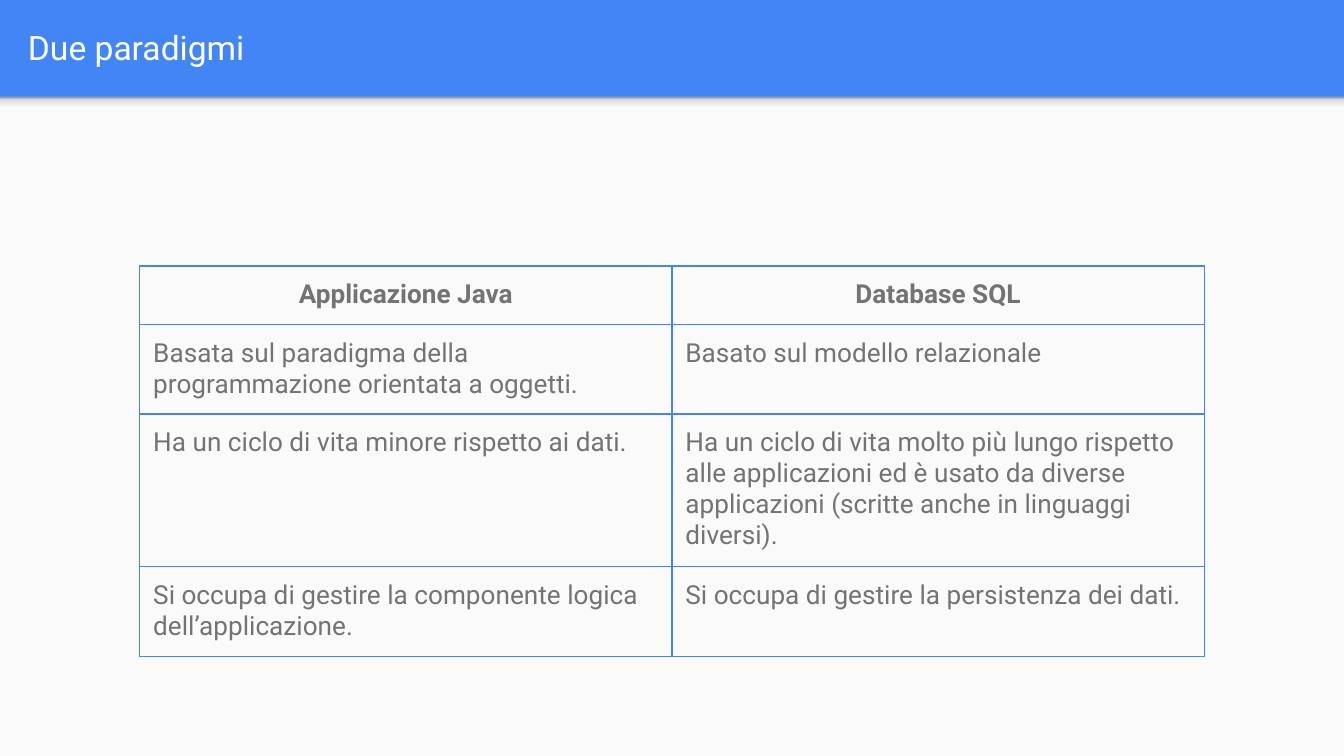
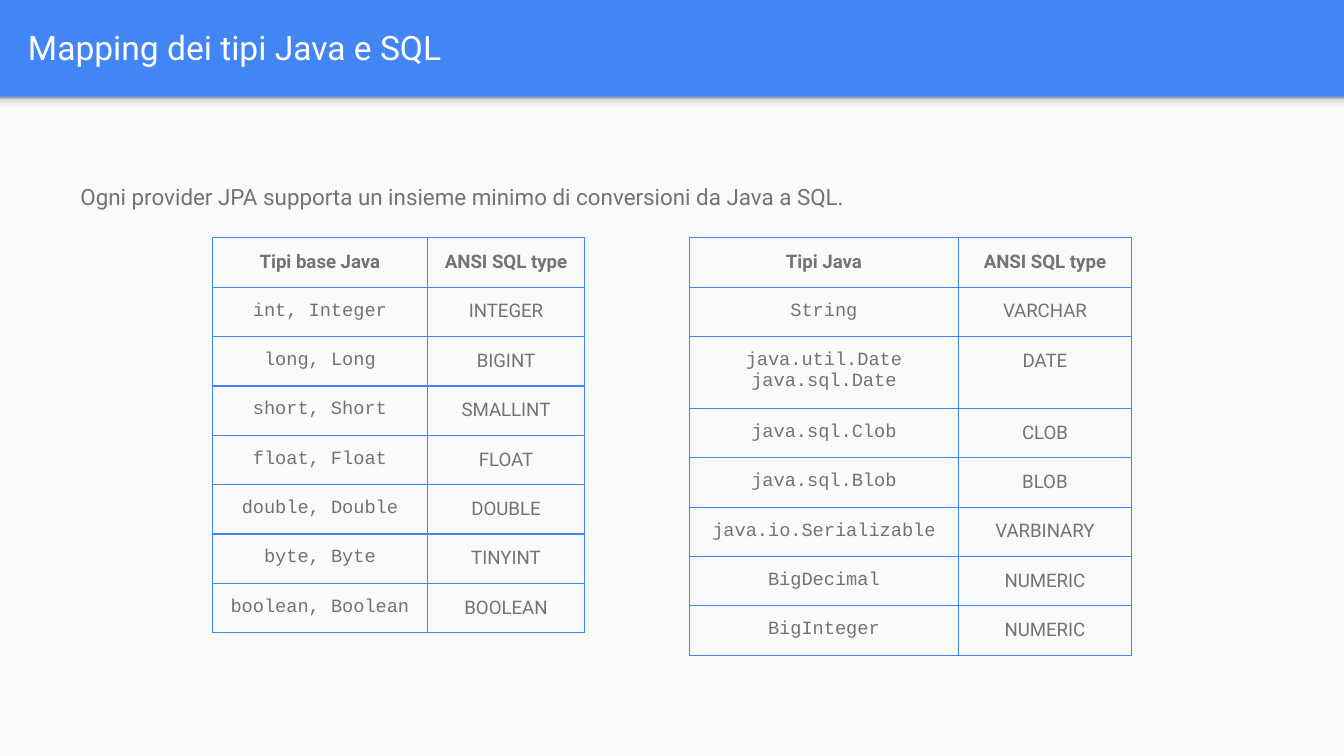
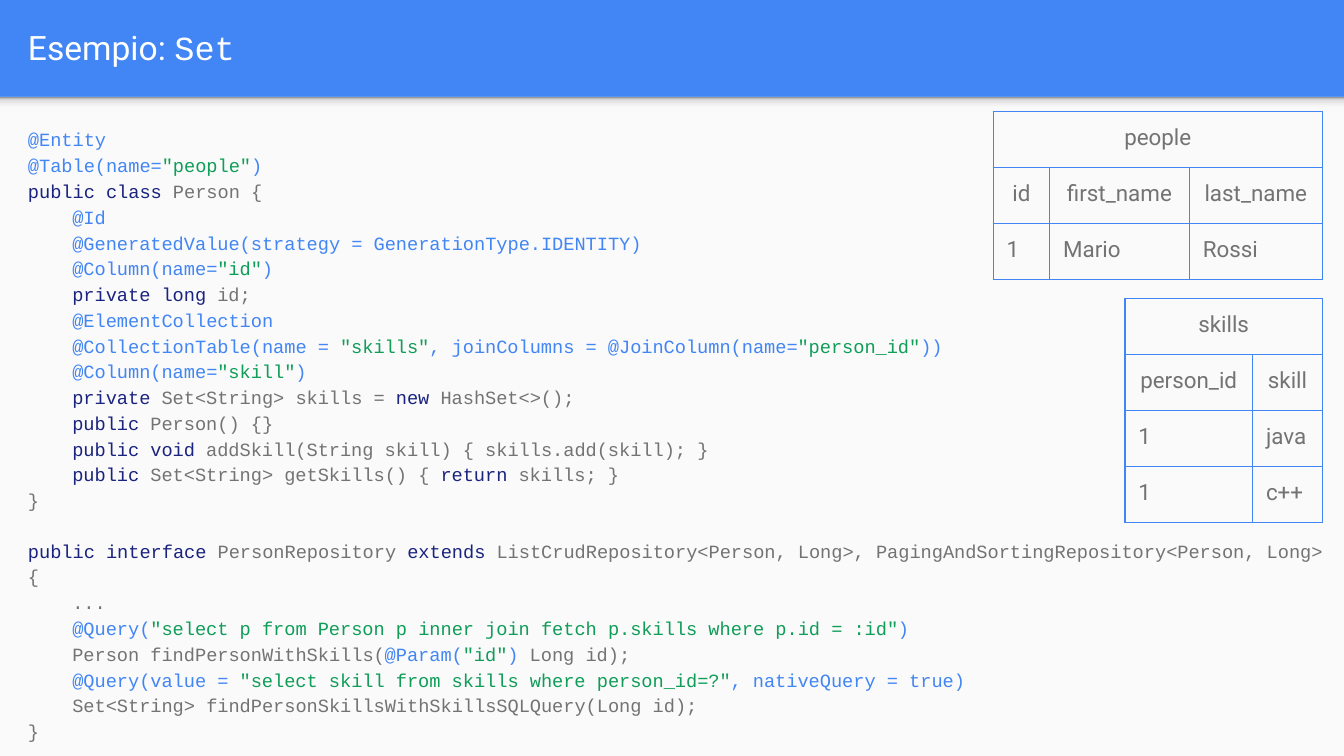
from lxml import etree
from pptx import Presentation
from pptx.dml.color import RGBColor
from pptx.enum.shapes import MSO_SHAPE
from pptx.enum.text import MSO_ANCHOR, PP_ALIGN
from pptx.oxml.ns import qn
from pptx.util import Inches, Pt

COLORS = {
    "blue": "4285F4", "panel": "FAFAFA", "white": "FFFFFF", "text": "737373",
    "keyword": "1A237E", "string": "0F9D58",
}
BAND_SHADOW = [(0, "F9F9F9"), (36, "F9F9F9"), (80, "DEDEDE"), (100, "999999")]
SANS, MONO = "Roboto", "Courier New"
WIDTH = 10
HEIGHT = WIDTH * 9 / 16
BAND = 0.72
INSET = 0.1
ROW = 5 / 12
TABLE_FRAME = 3.28  # nominal frame; columns and rows set the drawn size
CODE_INDENT = 0.33  # four characters of 10 pt monospace

# Content
PARADIGMS = [
    ("Applicazione Java", "Database SQL"),
    ("Basata sul paradigma della programmazione orientata a oggetti.",
     "Basato sul modello relazionale"),
    ("Ha un ciclo di vita minore rispetto ai dati.",
     "Ha un ciclo di vita molto più lungo rispetto alle applicazioni ed è usato "
     "da diverse applicazioni (scritte anche in linguaggi diversi)."),
    ("Si occupa di gestire la componente logica dell’applicazione.",
     "Si occupa di gestire la persistenza dei dati."),
]
MAPPING_INTRO = "Ogni provider JPA supporta un insieme minimo di conversioni da Java a SQL."
MAPPING_ROWS = [0.28, 0.12, 0.14, 0.14] + [0.11] * 4  # minimum heights
BASE_TYPES = [
    ("Tipi base Java", "ANSI SQL type"),
    ("int, Integer", "INTEGER"),
    ("long, Long", "BIGINT"),
    ("short, Short", "SMALLINT"),
    ("float, Float", "FLOAT"),
    ("double, Double", "DOUBLE"),
    ("byte, Byte", "TINYINT"),
    ("boolean, Boolean", "BOOLEAN"),
]
OBJECT_TYPES = [
    ("Tipi Java", "ANSI SQL type"),
    ("String", "VARCHAR"),
    ("java.util.Date\njava.sql.Date", "DATE"),
    ("java.sql.Clob", "CLOB"),
    ("java.sql.Blob", "BLOB"),
    ("java.io.Serializable", "VARBINARY"),
    ("BigDecimal", "NUMERIC"),
    ("BigInteger", "NUMERIC"),
]
PEOPLE = [("people", "", ""), ("id", "first_name", "last_name"), ("1", "Mario", "Rossi")]
SKILLS = [("skills", ""), ("person_id", "skill"), ("1", "java"), ("1", "c++")]

# Code lines; "|" separates pieces of different colour
KEYWORDS = {"public", "private", "class", "interface", "extends", "long", "void",
            "new", "return"}
ENTITY_CODE = [
    '@Entity',
    '@Table(name=|"people"|)',
    'public class| Person {',
    '@Id',
    '@GeneratedValue(strategy = GenerationType.IDENTITY)',
    '@Column(name=|"id"|)',
    'private long| id;',
    '@ElementCollection',
    '@CollectionTable(name = |"skills"|, joinColumns = @JoinColumn(name=|"person_id"|))',
    '@Column(name=|"skill"|)',
    'private| Set<String> skills = |new| HashSet<>();',
    'public| Person() {}',
    'public void| addSkill(String skill) { skills.add(skill); }',
    'public| Set<String> getSkills() { |return| skills; }',
    '}',
]
REPOSITORY_CODE = [
    'public interface| PersonRepository |extends| ListCrudRepository<Person, Long>, '
    'PagingAndSortingRepository<Person, Long> {',
    '...',
    '@Query(|"select p from Person p inner join fetch p.skills where p.id = :id"|)',
    'Person findPersonWithSkills(|@Param(|"id"|)| Long id);',
    '@Query(value = |"select skill from skills where person_id=?"|, nativeQuery = true)',
    'Set<String> findPersonSkillsWithSkillsSQLQuery(Long id);',
    '}',
]


def rgb(name):
    return RGBColor.from_string(COLORS[name])


def write(tf, text, size=12, font=SANS, color="text", bold=False, align=PP_ALIGN.LEFT,
          spacing=None, anchor=MSO_ANCHOR.TOP):
    """Write text: a string, or paragraphs given as lists of (text, format) runs."""
    tf.word_wrap = True
    tf.vertical_anchor = anchor
    if isinstance(text, str):
        text = [[(line, {})] for line in text.split("\n")]
    for i, runs in enumerate(text):
        p = tf.paragraphs[0] if i == 0 else tf.add_paragraph()
        p.alignment = align
        if spacing:
            p.line_spacing = spacing
        for content, fmt in runs:
            r = p.add_run()
            r.text = content
            r.font.size = Pt(size)
            r.font.bold = bold
            r.font.name = fmt.get("font", font)
            r.font.color.rgb = rgb(fmt.get("color", color))


def add_text(slide, box, text, **fmt):
    tf = slide.shapes.add_textbox(*map(Inches, box)).text_frame
    tf.margin_left = tf.margin_right = tf.margin_top = tf.margin_bottom = Inches(INSET)
    write(tf, text, **fmt)
    return tf


def add_rect(slide, top, height):
    sp = slide.shapes.add_shape(MSO_SHAPE.RECTANGLE, 0, Inches(top), Inches(WIDTH),
                                Inches(height))
    sp.shadow.inherit = False
    sp.line.fill.background()
    return sp


def add_slide(prs, title):
    """Blue slide with a light panel, a soft shadow under the band and a title."""
    slide = prs.slides.add_slide(prs.slide_layouts[6])
    slide.background.fill.solid()
    slide.background.fill.fore_color.rgb = rgb("blue")
    panel = add_rect(slide, BAND, HEIGHT - BAND)
    panel.fill.solid()
    panel.fill.fore_color.rgb = rgb("panel")

    shadow = add_rect(slide, BAND, 0.12)
    shadow.fill.gradient()
    shadow.fill.gradient_angle = 90
    stops = shadow.element.spPr.find(".//" + qn("a:gsLst"))
    for gs in list(stops):
        stops.remove(gs)
    for pos, value in BAND_SHADOW:
        gs = etree.SubElement(stops, qn("a:gs"), pos=str(pos * 1000))
        etree.SubElement(gs, qn("a:srgbClr"), val=value)

    add_text(slide, (0.11, 0.02, 9.65, 0.66), title, size=18, color="white",
             anchor=MSO_ANCHOR.MIDDLE)
    return slide


def style_cell(cell):
    cell.margin_left = cell.margin_right = Inches(INSET)
    cell.margin_top = cell.margin_bottom = Inches(INSET)
    tcPr = cell._tc.get_or_add_tcPr()
    for side in ("a:lnL", "a:lnR", "a:lnT", "a:lnB"):
        ln = etree.SubElement(tcPr, qn(side), w=str(Pt(0.75)))
        fill = etree.SubElement(ln, qn("a:solidFill"))
        etree.SubElement(fill, qn("a:srgbClr"), val=COLORS["blue"])
    cell.fill.background()


def add_table(slide, left, top, rows, col_widths, row_heights=None, size=12, centred=1,
              bold_head=False, code_column=False, merged_head=False):
    """Outlined table; the first `centred` rows are centred."""
    frame = slide.shapes.add_table(
        len(rows), len(col_widths), Inches(left), Inches(top),
        Inches(TABLE_FRAME), Inches(TABLE_FRAME))
    table = frame.table
    table.first_row = table.horz_banding = False
    for column, width in zip(table.columns, col_widths):
        column.width = Inches(width)
    for row, height in zip(table.rows, row_heights or [ROW] * len(rows)):
        row.height = Inches(height)
    frame.width = frame.height = Inches(TABLE_FRAME)
    for i, row in enumerate(rows):
        for j, text in enumerate(row):
            cell = table.cell(i, j)
            style_cell(cell)
            write(cell.text_frame, text, size=size, bold=bold_head and i == 0,
                  font=MONO if code_column and i > 0 and j == 0 else SANS,
                  align=PP_ALIGN.CENTER if i < centred else PP_ALIGN.LEFT)
    if merged_head:
        table.cell(0, 0).merge(table.cell(0, len(col_widths) - 1))


def code_color(piece, line):
    if piece.startswith('"'):
        return "string"
    if all(word in KEYWORDS for word in piece.split()):
        return "keyword"
    if line.startswith("@") or piece.startswith("@") or piece == ")":
        return "blue"
    return "text"


def add_code(slide, box, lines):
    """Coloured code; lines inside the outer braces are indented."""
    runs = [[(piece, {"color": code_color(piece, line)}) for piece in line.split("|")]
            for line in lines]
    tf = add_text(slide, box, runs, size=10, font=MONO, spacing=1.15)
    inside = False
    for p, line in zip(tf.paragraphs, lines):
        if inside and line != "}":
            pPr = p._p.get_or_add_pPr()
            pPr.set("marL", str(Inches(CODE_INDENT)))
            pPr.set("indent", "0")
        inside = inside or line.endswith("{")


def main():
    prs = Presentation()
    prs.slide_width, prs.slide_height = Inches(WIDTH), Inches(HEIGHT)

    # Two paradigms
    slide = add_slide(prs, "Due paradigmi")
    add_table(slide, 1.04, 1.98, PARADIGMS, (3.96, 3.96), size=14, bold_head=True)

    # Type mapping
    slide = add_slide(prs, "Mapping dei tipi Java e SQL")
    add_text(slide, (0.5, 1.23, 8.99, 0.41), MAPPING_INTRO, spacing=1.15)
    for left, rows, widths in ((1.58, BASE_TYPES, (1.6, 1.17)),
                               (5.13, OBJECT_TYPES, (2, 1.29))):
        add_table(slide, left, 1.77, rows, widths, row_heights=MAPPING_ROWS, size=10,
                  centred=len(rows), bold_head=True, code_column=True)

    # Set example
    slide = add_slide(prs, [[("Esempio: ", {}), ("Set", {"font": MONO})]])
    add_code(slide, (0.11, 0.83, 7.05, 3.06), ENTITY_CODE)
    for left, top, rows, widths in ((7.39, 0.83, PEOPLE, (0.42, 1.04, 0.99)),
                                    (8.37, 2.22, SKILLS, (0.95, 0.52))):
        add_table(slide, left, top, rows, widths, centred=2, merged_head=True)
    add_code(slide, (0.11, 3.89, 9.85, 1.73), REPOSITORY_CODE)

    prs.save("out.pptx")


if __name__ == "__main__":
    main()
